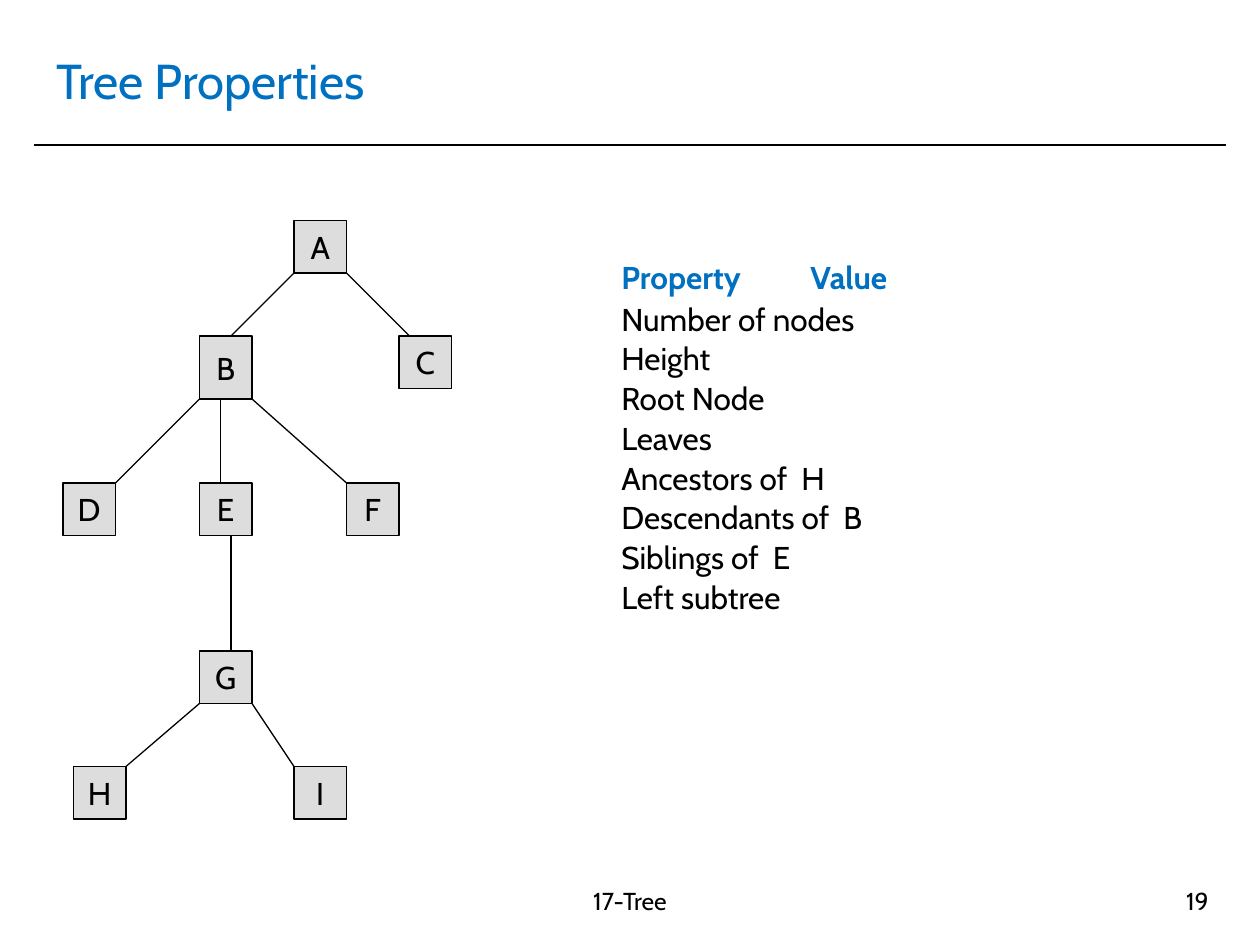
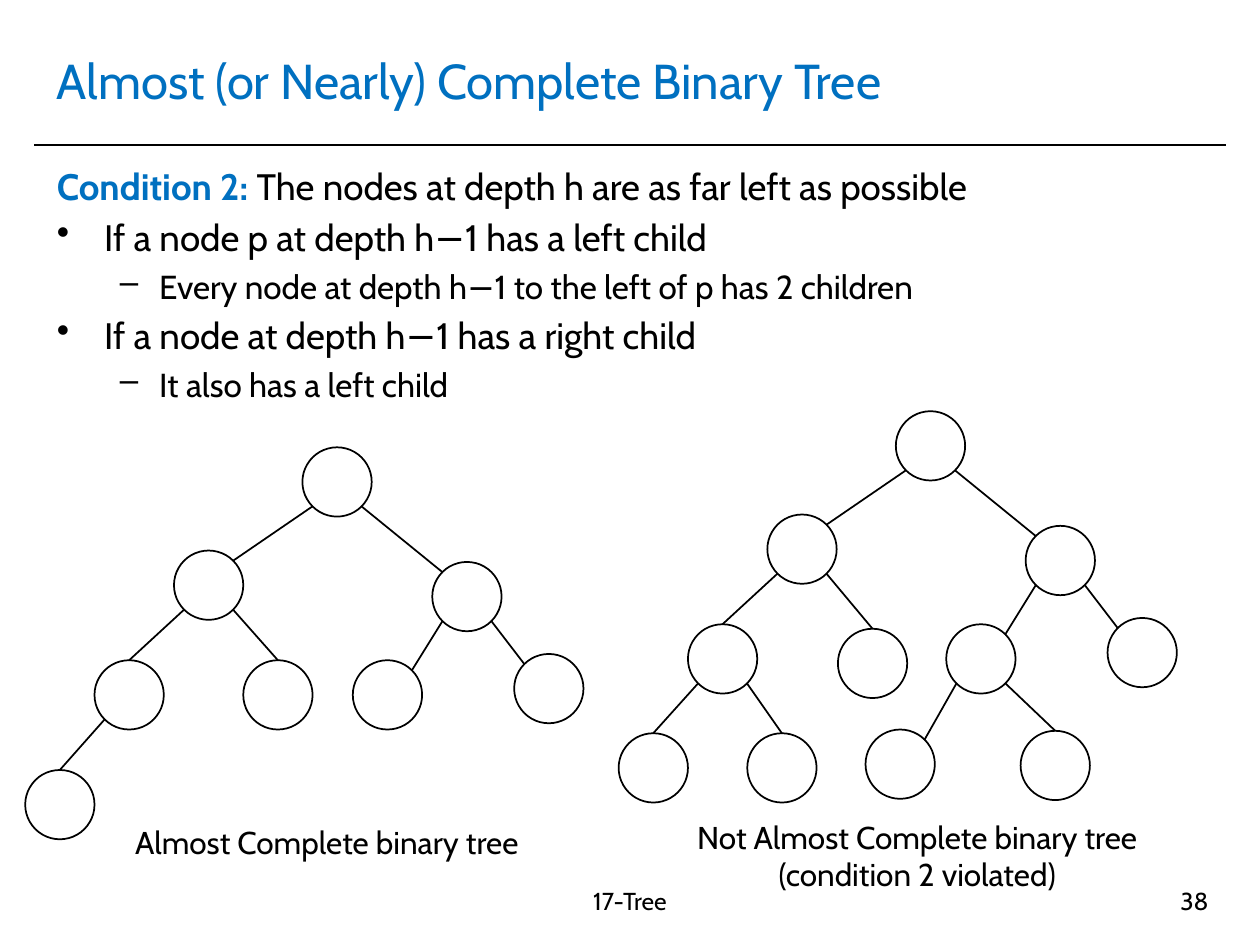
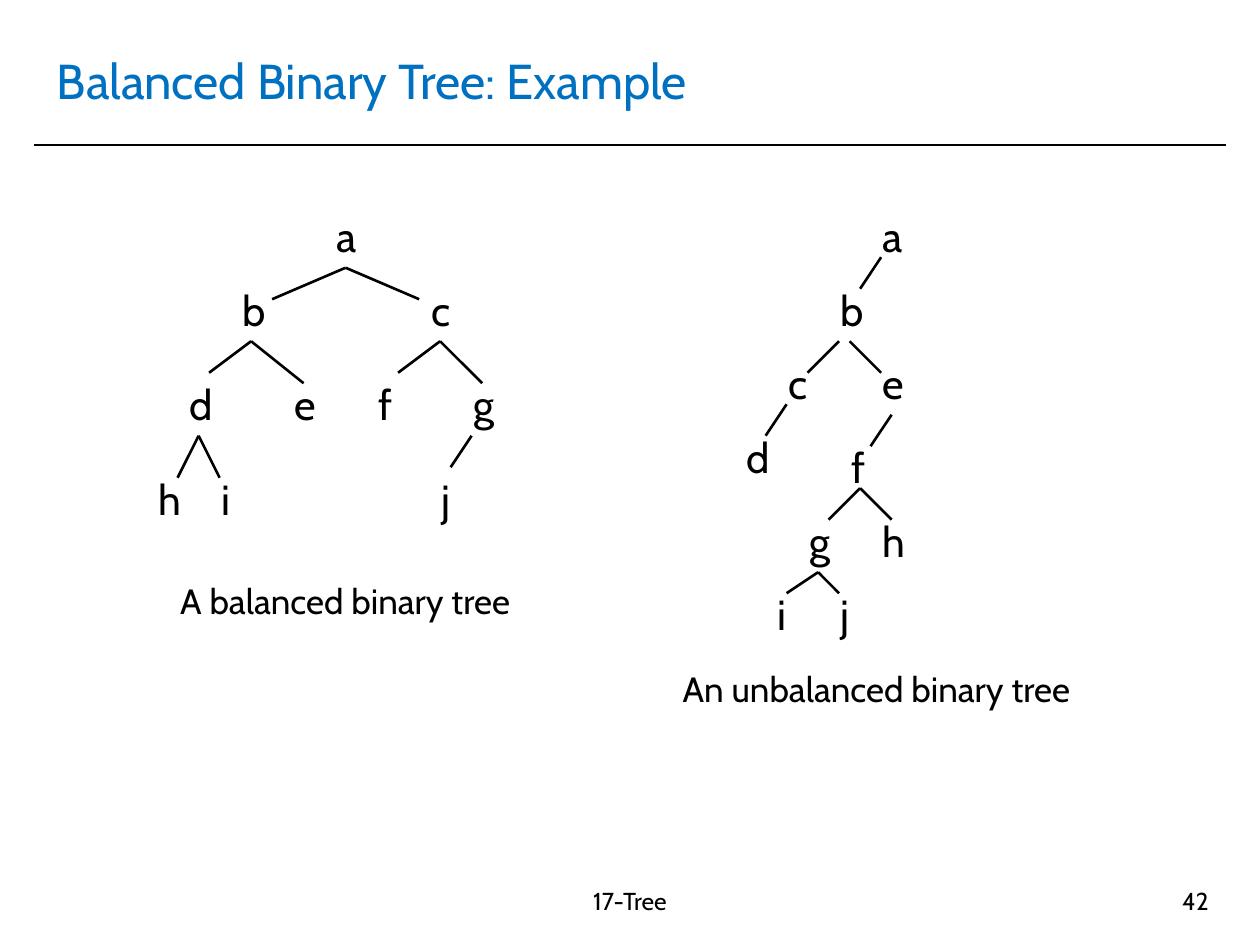
from lxml import etree
from pptx import Presentation
from pptx.dml.color import RGBColor
from pptx.enum.shapes import MSO_CONNECTOR, MSO_SHAPE
from pptx.enum.text import MSO_ANCHOR, PP_ALIGN
from pptx.oxml.ns import qn
from pptx.util import Pt

STRAIGHT = MSO_CONNECTOR.STRAIGHT
RECTANGLE, OVAL = MSO_SHAPE.RECTANGLE, MSO_SHAPE.OVAL
TOP, MIDDLE = MSO_ANCHOR.TOP, MSO_ANCHOR.MIDDLE
LEFT, CENTER, RIGHT = PP_ALIGN.LEFT, PP_ALIGN.CENTER, PP_ALIGN.RIGHT

FONT = "Cabin"
COLORS = {"accent": "0070C0", "ink": "000000", "node": "DDDDDD"}
FOOTER = "17-Tree"

# Slide 1: labelled boxes (left, top, height) and edges, which run from the
# parent's bottom to the child's top at the given distances from their left sides
BOX = 30
BOXES = {
    "A": (168, 126, BOX), "B": (114, 192, 36), "C": (228, 192, BOX),
    "D": (36, 276, BOX), "E": (114, 276, BOX), "F": (198, 276, BOX),
    "G": (114, 372, BOX), "H": (42, 438, BOX), "I": (168, 438, BOX),
}
BOX_EDGES = [
    ("A", 0, "B", 18), ("A", 30, "C", 6), ("B", 0, "D", 30), ("B", 12, "E", 12),
    ("B", 30, "F", 0), ("E", 18, "G", 18), ("G", 0, "H", 30), ("G", 30, "I", 0),
]
PROPERTIES = [
    "Number of nodes", "Height", "Root Node", "Leaves", "Ancestors of  H",
    "Descendants of  B", "Siblings of  E", "Left subtree",
]

# Slide 2: circles named by their route from the root, and where edges touch them
CIRCLE = 39.6
SITES = {"top": (0.5, 0), "top left": (0.15, 0.15), "top right": (0.85, 0.15),
         "L": (0.15, 0.85), "R": (0.85, 0.85)}
SHARED_CIRCLES = {
    "": (172.8, 255.6), "L": (99.4, 314.6), "R": (247, 321.1),
    "LL": (54, 377.3), "RL": (201.6, 377.3), "RR": (293.8, 373.7),
}
ALMOST_COMPLETE = {"LR": (139, 377.3), "LLL": (14.4, 440)}
NOT_COMPLETE = {
    "LR": (139.7, 379.9), "LLL": (14.4, 439.6), "LLR": (87.9, 439.6),
    "RLL": (155.5, 437.5), "RLR": (244.1, 438.2),
}
CHILD_SITES = {"L": "top right", "R": "top left", "RL": "top right",
               "RR": "top left", "RLL": "top right"}
CONDITIONS = [
    (0, "If a node p at depth h−1 has a left child"),
    (1, "Every node at depth h−1 to the left of p has 2 children"),
    (0, "If a node at depth h−1 has a right child"),
    (1, "It also has a left child"),
]
# Per level: bullet, left margin, hanging indent, size, space before
BULLETS = [("•", 27, 27, 21, 4.2), ("–", 58.5, 22.5, 19, 3.8)]

# Slide 3: letters and branches (apex, ends) in cells of a 6-point grid
GRID_LEFT, GRID_TOP, CELL = 83.5, 117, 6
BALANCED = {
    "a": (17, 0), "b": (8, 7), "c": (26, 7), "d": (3, 16), "e": (13, 16),
    "f": (21, 16), "g": (30, 16), "h": (0, 25), "i": (6, 25), "j": (27, 25),
}
BALANCED_BRANCHES = [
    ((19, 6), [(12, 9), (26, 9)]), ((10, 13), [(6, 16), (15, 17)]),
    ((28, 13), [(24, 16), (32, 17)]), ((5, 22), [(3, 26), (7, 26)]),
    ((31, 22), [(29, 25)]),
]
UNBALANCED = {
    "a": (69, 0), "b": (65, 7), "c": (60, 14), "d": (56, 21), "e": (69, 14),
    "f": (66, 22), "g": (62, 29), "h": (69, 29), "i": (59, 36), "j": (65, 36),
}
UNBALANCED_BRANCHES = [
    ((70, 5), [(68, 8)]), ((66, 13), [(63, 16)]), ((67, 13), [(70, 16)]),
    ((61, 19), [(59, 22)]), ((71, 20), [(69, 23)]),
    ((68, 27), [(65, 30), (71, 30)]), ((64, 35), [(61, 37), (66, 37)]),
]


def color(name):
    return RGBColor.from_string(COLORS[name])


def format_run(run, size, ink="ink", bold=False):
    run.font.name = FONT
    run.font.size = Pt(size)
    run.font.bold = bold
    run.font.color.rgb = color(ink)


def add_text(slide, text, left, top, width, height, size,
             ink="ink", align=LEFT, anchor=TOP, bold=False):
    box = slide.shapes.add_textbox(Pt(left), Pt(top), Pt(width), Pt(height))
    text_frame = box.text_frame
    text_frame.word_wrap = True
    text_frame.vertical_anchor = anchor
    text_frame.text = text
    for paragraph in text_frame.paragraphs:
        paragraph.alignment = align
        for run in paragraph.runs:
            format_run(run, size, ink, bold)
    return text_frame


def add_line(slide, start, end, weight):
    line = slide.shapes.add_connector(
        STRAIGHT, Pt(start[0]), Pt(start[1]), Pt(end[0]), Pt(end[1]))
    line.line.color.rgb = color("ink")
    line.line.width = Pt(weight)
    etree.SubElement(line._element.spPr, qn("a:effectLst"))


def add_node(slide, kind, left, top, width, height, weight):
    node = slide.shapes.add_shape(kind, Pt(left), Pt(top), Pt(width), Pt(height))
    node.shadow.inherit = False
    node.fill.background()
    node.line.color.rgb = color("ink")
    node.line.width = Pt(weight)
    return node


def add_box(slide, label, left, top, height):
    box = add_node(slide, RECTANGLE, left, top, BOX, height, 0.75)
    box.fill.solid()
    box.fill.fore_color.rgb = color("node")
    text_frame = box.text_frame
    text_frame.word_wrap = False
    text_frame.vertical_anchor = MIDDLE
    text_frame.text = label
    text_frame.paragraphs[0].alignment = CENTER
    format_run(text_frame.paragraphs[0].runs[0], 18)


def add_bullet(text_frame, level, text):
    mark, margin, hanging, size, space = BULLETS[level]
    paragraph = text_frame.add_paragraph()
    paragraph.text = text
    paragraph.level = level
    paragraph.space_before = Pt(space)
    properties = paragraph._p.get_or_add_pPr()
    properties.set("marL", str(Pt(margin)))
    properties.set("indent", str(-Pt(hanging)))
    bullet_color = etree.SubElement(properties, qn("a:buClr"))
    etree.SubElement(bullet_color, qn("a:srgbClr"), val=COLORS["ink"])
    etree.SubElement(properties, qn("a:buChar"), char=mark)
    format_run(paragraph.runs[0], size)


def add_circle_tree(slide, circles, shift_x=0, shift_y=0):
    places = {route: (x + shift_x, y + shift_y) for route, (x, y) in circles.items()}

    def touch(route, site):
        return [place + CIRCLE * part for place, part in zip(places[route], SITES[site])]

    for route, (left, top) in places.items():
        add_node(slide, OVAL, left, top, CIRCLE, CIRCLE, 1)
        if route:
            start = touch(route[:-1], route[-1])
            add_line(slide, start, touch(route, CHILD_SITES.get(route, "top")), 1)


def grid_point(cell):
    return GRID_LEFT + CELL * cell[0], GRID_TOP + CELL * cell[1]


def add_letter_tree(slide, letters, branches):
    for letter, cell in letters.items():
        add_text(slide, letter, *grid_point(cell), 30, 36, 24)
    for apex, ends in branches:
        for end in ends:
            add_line(slide, grid_point(apex), grid_point(end), 1.5)


def add_slide(presentation, title, number):
    slide = presentation.slides.add_slide(presentation.slide_layouts[6])
    add_line(slide, (19.5, 82.8), (700.5, 82.8), 1)
    add_text(slide, title, 25.4, 15.2, 669, 61.2, 28, "accent", anchor=MIDDLE)
    add_text(slide, FOOTER, 241, 502.5, 238, 37.5, 14, align=CENTER)
    add_text(slide, str(number), 530, 502.5, 167.8, 37.5, 14, align=RIGHT)
    return slide


def build_properties(presentation):
    slide = add_slide(presentation, "Tree Properties", 19)
    for label, place in BOXES.items():
        add_box(slide, label, *place)
    for parent, parent_offset, child, child_offset in BOX_EDGES:
        left, top, height = BOXES[parent]
        child_left, child_top, _ = BOXES[child]
        add_line(slide, (left + parent_offset, top + height),
                 (child_left + child_offset, child_top), 0.75)

    # Property list
    text_frame = add_text(slide, "Property\t\tValue", 348, 144, 324, 231, 18,
                          "accent", bold=True)
    for name in PROPERTIES:
        paragraph = text_frame.add_paragraph()
        paragraph.text = name
        paragraph.line_spacing = 0.6
        paragraph.space_before = Pt(9.75)
        format_run(paragraph.runs[0], 18)


def build_almost_complete(presentation):
    slide = add_slide(presentation, "Almost (or Nearly) Complete Binary Tree", 38)
    # Conditions
    text_frame = add_text(slide, "Condition 2: ", 25.4, 90, 669, 402, 21,
                          "accent", bold=True)
    statement = text_frame.paragraphs[0].add_run()
    statement.text = "The nodes at depth h are as far left as possible"
    format_run(statement, 21)
    for level, text in CONDITIONS:
        add_bullet(text_frame, level, text)

    # Trees and captions
    add_circle_tree(slide, SHARED_CIRCLES | ALMOST_COMPLETE)
    add_circle_tree(slide, SHARED_CIRCLES | NOT_COMPLETE, 339.1, -20.6)
    add_text(slide, "Almost Complete binary tree", 62.6, 466.6, 248.4, 29, 18,
             align=CENTER)
    add_text(slide, "Not Almost Complete binary tree\n(condition 2 violated)",
             382.3, 463.7, 283.7, 51, 18, align=CENTER)


def build_balanced(presentation):
    slide = add_slide(presentation, "Balanced Binary Tree: Example", 42)
    add_letter_tree(slide, BALANCED, BALANCED_BRANCHES)
    add_letter_tree(slide, UNBALANCED, UNBALANCED_BRANCHES)
    add_text(slide, "A balanced binary tree", 62, 327.6, 270.5, 31.5, 20, align=CENTER)
    add_text(slide, "An unbalanced binary tree", 365.8, 378, 270, 31.5, 20, align=CENTER)


def main():
    presentation = Presentation()
    presentation.slide_width = Pt(720)
    presentation.slide_height = Pt(540)
    build_properties(presentation)
    build_almost_complete(presentation)
    build_balanced(presentation)
    presentation.save("out.pptx")


if __name__ == "__main__":
    main()
